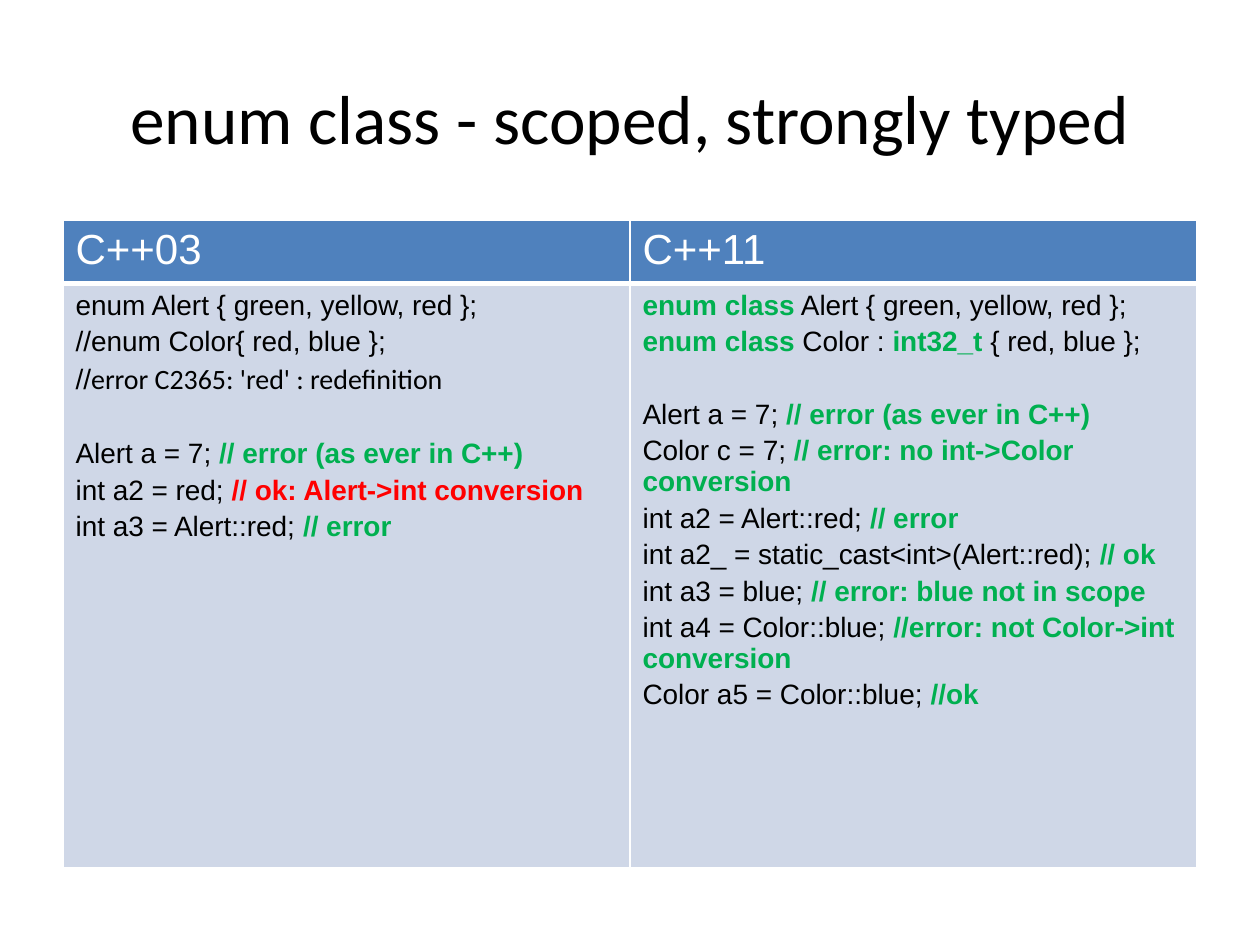
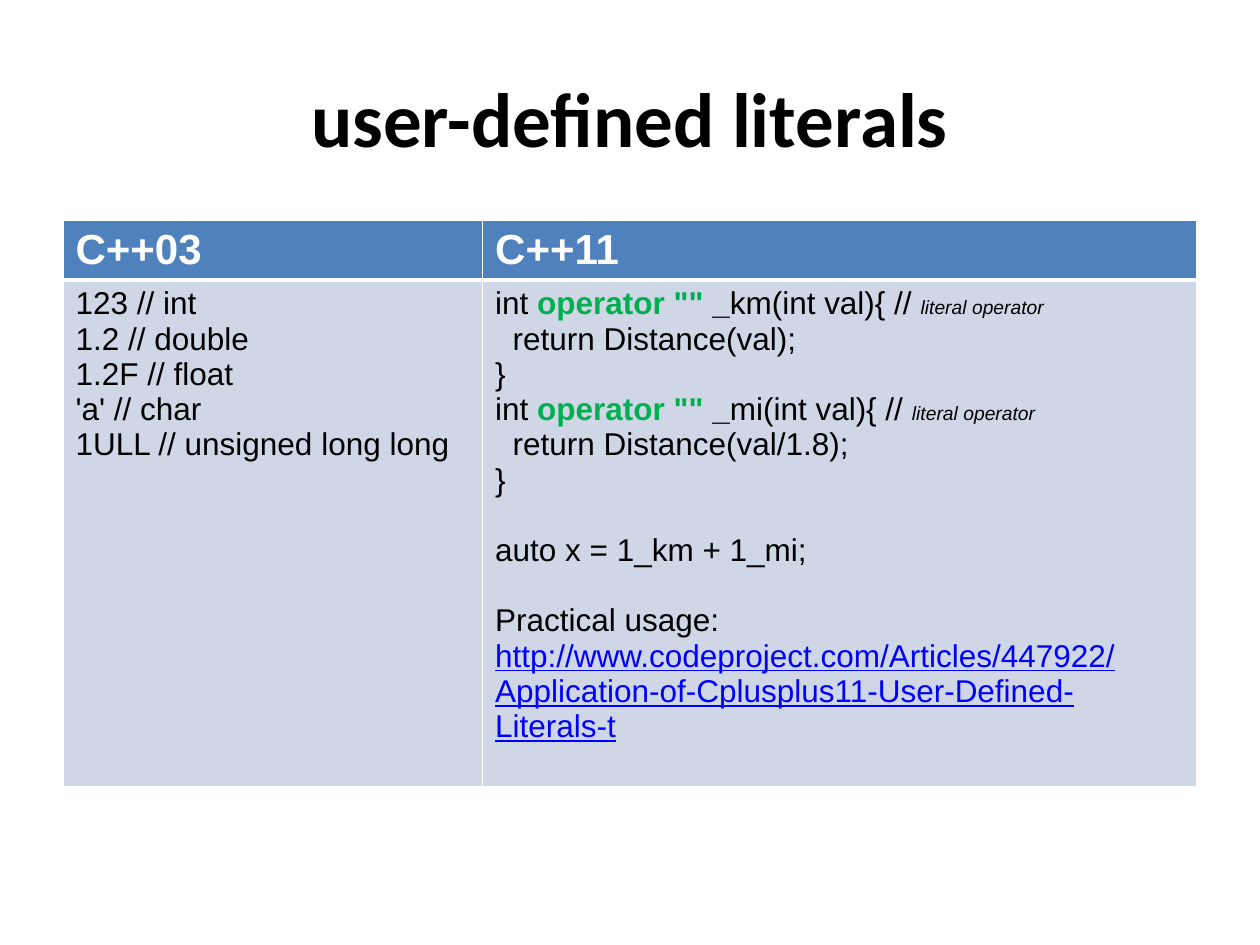
from dataclasses import dataclass

from lxml.etree import SubElement
from pptx import Presentation
from pptx.dml.color import RGBColor
from pptx.enum.text import MSO_ANCHOR, MSO_AUTO_SIZE, PP_ALIGN
from pptx.oxml.ns import qn
from pptx.util import Pt

EMU_PER_PX = 9144  # 100 px to the inch
TITLE_ONLY_LAYOUT = 5


# Theme: colours, fonts and type sizes
@dataclass(frozen=True)
class Theme:
    black: str = "000000"
    white: str = "FFFFFF"
    header_fill: str = "4F81BD"
    body_fill: str = "CFD7E7"
    green: str = "00B050"
    red: str = "FF0000"
    link: str = "0000FF"
    title_font: str = "Calibri"
    code_font: str = "Arial"
    header_size: float = 24
    note_size: float = 11
    thin_line: float = 1
    thick_line: float = 3
    line_height: float = 1.12


THEME = Theme()

# Run formats, laid over the format of the cell
GOOD = {"color": THEME.green, "bold": True}
BAD = {"color": THEME.red, "bold": True}
STRONG = {"bold": True}
NOTE = {"size": THEME.note_size, "italic": True}
LINK = {"color": THEME.link, "underline": True}
MESSAGE = {"name": THEME.title_font}

BREAK = "\n"  # line break inside a paragraph
GAP = ()      # one line of space before the next paragraph
HEADERS = ("C++03", "C++11")

# Code on the enum slide
AS_EVER = ["Alert a = 7; ", ("// error (as ever in C++)", GOOD)]
ENUM_OLD = [
    ["enum Alert { green, yellow, red };"],
    ["//enum Color{ red, blue };"],
    ["//", ("error C2365: 'red' : redefinition", MESSAGE)],
    GAP,
    AS_EVER,
    ["int a2 = red; ", ("// ok: Alert->int conversion", BAD)],
    ["int a3 = Alert::red; ", ("// error", GOOD)],
]
ENUM_NEW = [
    [("enum class", GOOD), " Alert { green, yellow, red };"],
    [("enum class", GOOD), " Color : ", ("int32_t ", GOOD), "{ red, blue };"],
    GAP,
    AS_EVER,
    ["Color c = 7; ", ("// error: no int->Color conversion", GOOD)],
    ["int a2 = Alert::red; ", ("// error", GOOD)],
    ["int a2_ = static_cast<int>(Alert::red); ", ("// ok", GOOD)],
    ["int a3 = blue; ", ("// error: blue not in scope", GOOD)],
    ["int a4 = Color::blue; ", ("//error: not Color->int conversion", GOOD)],
    ["Color a5 = Color::blue; ", ("//ok", GOOD)],
]


def literal_operator(suffix, value):
    """Two paragraphs of code that define one literal operator."""
    return [
        ["int ", ('operator "" ', GOOD), ("_", STRONG),
         f"{suffix}(int val){{ // ", ("literal operator", NOTE)],
        [f"  return Distance({value});", BREAK, "}"],
    ]


# Code on the literals slide
LITERALS_OLD = [
    ["123 // int"],
    ["1.2 // double"],
    ["1.2F // float"],
    ["'a' // char"],
    ["1ULL // unsigned long long"],
]
LITERALS_NEW = [
    *literal_operator("km", "val"),
    *literal_operator("mi", "val/1.8"),
    GAP,
    ["auto x = 1_km + 1_mi;"],
    GAP,
    ["Practical usage:"],
    [("http://www.codeproject.com/Articles/447922/"
      "Application-of-Cplusplus11-User-Defined-Literals-t", LINK)],
]


def px(*lengths):
    return [length * EMU_PER_PX for length in lengths]


# Text
def format_font(font, values):
    for name, value in values.items():
        if name == "color":
            font.color.rgb = RGBColor.from_string(value)
        else:
            setattr(font, name, Pt(value) if name == "size" else value)


def write_paragraph(paragraph, runs, base):
    for item in runs:
        if item == BREAK:
            paragraph.add_line_break()
            continue
        text, style = (item, {}) if isinstance(item, str) else item
        run = paragraph.add_run()
        run.text = text
        format_font(run.font, base | style)


def write_lines(text_frame, lines, base, spacing=0):
    gap = 2 * spacing + round(base["size"] * THEME.line_height)
    paragraph, space = text_frame.paragraphs[0], None
    for line in lines:
        if line == GAP:
            space = gap
            continue
        if space is not None:
            paragraph = text_frame.add_paragraph()
            paragraph.space_before = Pt(space)
        write_paragraph(paragraph, line, base)
        space = spacing


def set_title(slide, text, size, bold):
    title = slide.shapes.title
    title.left, title.top, title.width, title.height = px(50, 30, 900, 125)
    frame = title.text_frame
    frame.auto_size = MSO_AUTO_SIZE.NONE
    frame.word_wrap = True
    frame.vertical_anchor = MSO_ANCHOR.MIDDLE
    frame.paragraphs[0].alignment = PP_ALIGN.CENTER
    write_paragraph(frame.paragraphs[0], [text], {
        "name": THEME.title_font, "size": size,
        "bold": bold, "color": THEME.black})


# Table
def set_borders(cell, widths):
    properties = cell._tc.get_or_add_tcPr()
    for side, width in widths.items():
        line = SubElement(properties, qn(f"a:ln{side}"), w=str(Pt(width)))
        fill = SubElement(line, qn("a:solidFill"))
        SubElement(fill, qn("a:srgbClr"), val=THEME.white)


def fill_cell(cell, lines, fill, base, heavy_side, spacing=0):
    borders = dict.fromkeys("LRTB", THEME.thin_line)
    set_borders(cell, borders | {heavy_side: THEME.thick_line})
    cell.fill.solid()
    cell.fill.fore_color.rgb = RGBColor.from_string(fill)
    write_lines(cell.text_frame, lines, base, spacing)


def add_comparison(slide, columns, widths, heights, header_bold,
                   code_size, spacing=0):
    frame = slide.shapes.add_table(
        2, 2, *px(50, 175, sum(widths), sum(heights)))
    table = frame.table
    for row, height in zip(table.rows, px(*heights)):
        row.height = height
    header = {"name": THEME.code_font, "size": THEME.header_size,
              "bold": header_bold, "color": THEME.white}
    code = {"name": THEME.code_font, "size": code_size,
            "bold": False, "color": THEME.black}
    for index, (label, lines) in enumerate(zip(HEADERS, columns)):
        table.columns[index].width = px(widths[index])[0]
        fill_cell(table.cell(0, index), [[label]], THEME.header_fill,
                  header, "B")
        fill_cell(table.cell(1, index), lines, THEME.body_fill,
                  code, "T", spacing)


def add_slide(presentation, title, title_size, bold, **comparison):
    layout = presentation.slide_layouts[TITLE_ONLY_LAYOUT]
    slide = presentation.slides.add_slide(layout)
    set_title(slide, title, title_size, bold)
    add_comparison(slide, header_bold=bold, **comparison)


def main():
    presentation = Presentation()
    presentation.slide_width, presentation.slide_height = px(1000, 750)
    add_slide(presentation, "enum class - scoped, strongly typed", 39.6, False,
              columns=(ENUM_OLD, ENUM_NEW), widths=(450, 450),
              heights=(50, 464), code_size=16, spacing=3)
    add_slide(presentation, "user-defined literals", 44, True,
              columns=(LITERALS_OLD, LITERALS_NEW), widths=(333, 567),
              heights=(47, 402), code_size=18)
    presentation.save("out.pptx")


if __name__ == "__main__":
    main()
